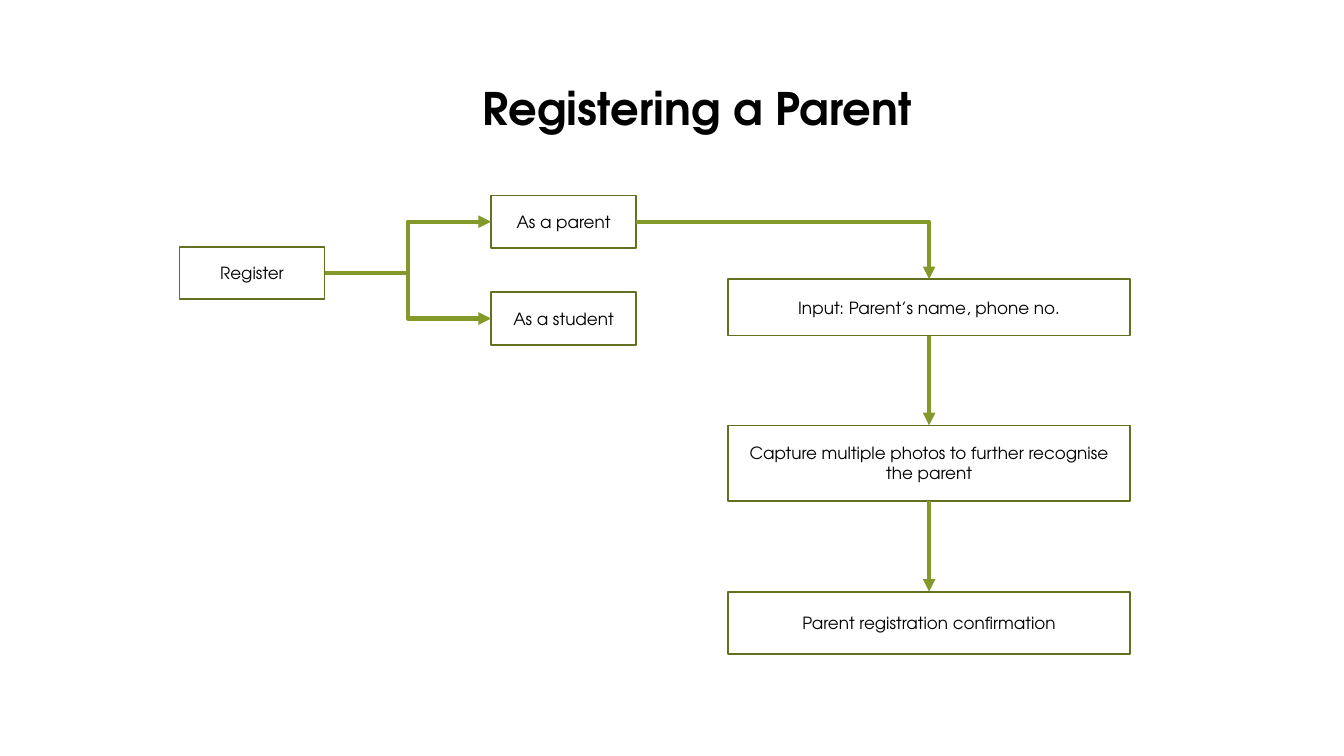
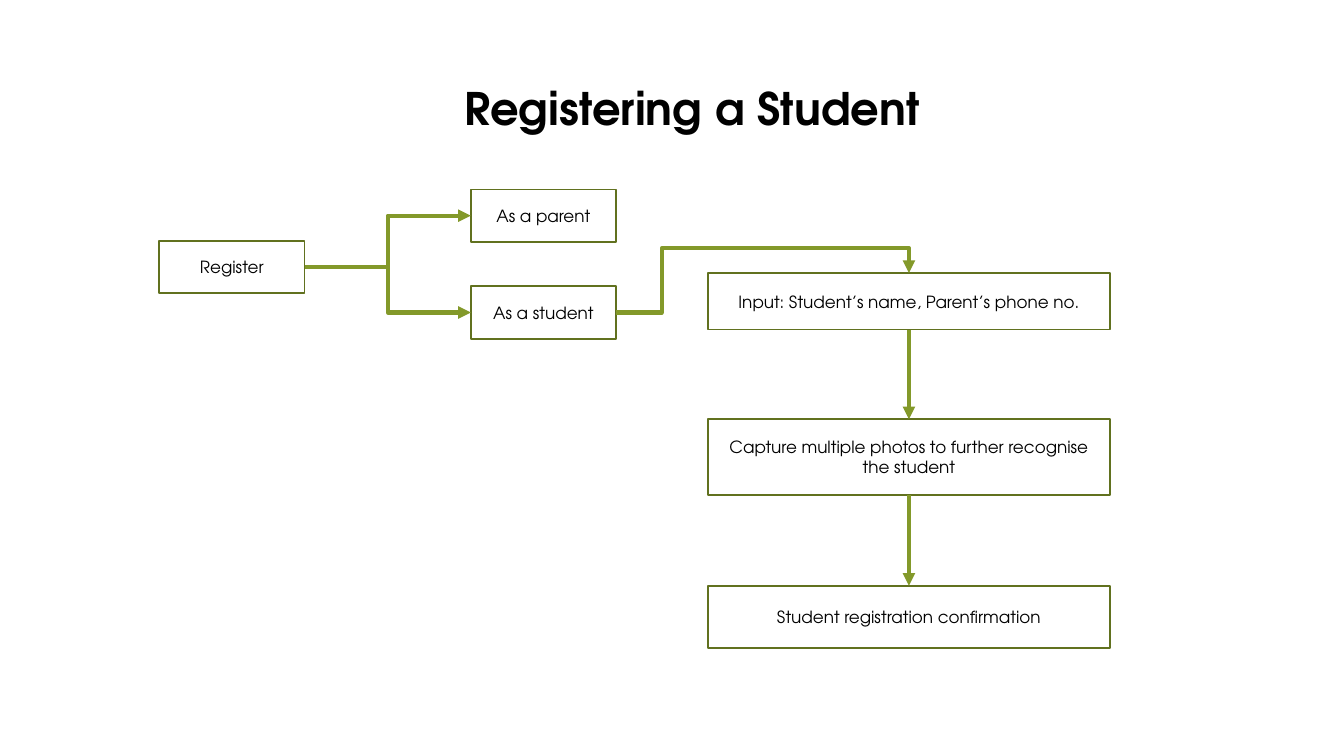
"""Build two slides with registration flowcharts."""
from dataclasses import dataclass

from lxml.etree import SubElement
from pptx import Presentation
from pptx.dml.color import RGBColor
from pptx.enum.shapes import MSO_CONNECTOR as CONN, MSO_SHAPE
from pptx.enum.text import MSO_ANCHOR as ANCHOR, MSO_AUTO_SIZE, PP_ALIGN as ALIGN
from pptx.oxml.ns import qn
from pptx.shapes.autoshape import Shape
from pptx.slide import Slide
from pptx.util import Inches, Pt

COLORS = {"text": "000000", "border": "61711F", "arrow": "83992A", "background": "FFFFFF"}
FONT = "TeX Gyre Adventor"
TOP, LEFT, BOTTOM, RIGHT = range(4)


@dataclass(frozen=True)
class Box:
    x: float
    y: float
    w: float
    h: float


@dataclass(frozen=True)
class Link:
    start: str
    start_side: int
    end: str
    end_side: int
    preset: str = "straightConnector1"
    adjust: tuple[int, ...] = ()


@dataclass(frozen=True)
class Flow:
    role: str
    title_x: float
    dx: float
    dy: float
    input_text: str
    branch: Link


BOXES = {
    "register": Box(1.78, 2.45, 1.44, 0.52),
    "parent": Box(4.87, 1.94, 1.44, 0.52),
    "student": Box(4.87, 2.9, 1.44, 0.52),
    "input": Box(7.22, 2.77, 3.99, 0.56),
    "capture": Box(7.22, 4.22, 3.99, 0.75),
    "confirm": Box(7.22, 5.87, 3.99, 0.62),
}
LINKS = [
    Link("register", RIGHT, "parent", LEFT, "bentConnector3", (50000,)),
    Link("register", RIGHT, "student", LEFT, "bentConnector3", (50000,)),
    Link("input", BOTTOM, "capture", TOP),
    Link("capture", BOTTOM, "confirm", TOP),
]
FLOWS = [
    Flow("Parent", 1.77, 0, 0, "Input: Parent’s name, phone no.",
         Link("parent", RIGHT, "input", TOP, "bentConnector2")),
    Flow("Student", 1.72, -0.2, -0.06, "Input: Student’s name, Parent’s phone no.",
         Link("student", RIGHT, "input", TOP, "bentConnector4", (15600, 163300))),
]


def rgb(name: str) -> RGBColor:
    return RGBColor.from_string(COLORS[name])


def write(sp: Shape, text: str, *, size: float = 12, bold: bool = False,
          anchor: ANCHOR = ANCHOR.MIDDLE) -> None:
    tf = sp.text_frame
    tf.word_wrap = True
    tf.vertical_anchor = anchor
    p = tf.paragraphs[0]
    p.alignment = ALIGN.CENTER
    r = p.add_run()
    r.text = text
    r.font.name = FONT
    r.font.size = Pt(size)
    r.font.bold = bold
    r.font.color.rgb = rgb("text")


def add_title(s: Slide, text: str, x: float) -> None:
    sp = s.shapes.add_textbox(Inches(x), Inches(0.75), Inches(10.29), Inches(0.64))
    write(sp, text, size=32, bold=True, anchor=ANCHOR.TOP)
    sp.text_frame.auto_size = MSO_AUTO_SIZE.SHAPE_TO_FIT_TEXT


def add_box(s: Slide, box: Box, text: str, dx: float, dy: float) -> Shape:
    sp = s.shapes.add_shape(MSO_SHAPE.RECTANGLE, Inches(box.x + dx), Inches(box.y + dy),
                            Inches(box.w), Inches(box.h))
    sp.shadow.inherit = False
    sp.fill.background()
    sp.line.color.rgb = rgb("border")
    sp.line.width = Pt(1.25)
    write(sp, text)
    return sp


def side_point(sp: Shape, side: int) -> tuple[int, int]:
    fx, fy = ((1, 0), (0, 1), (1, 2), (2, 1))[side]
    return sp.left + sp.width * fx // 2, sp.top + sp.height * fy // 2


def add_link(s: Slide, link: Link, shapes: dict[str, Shape]) -> None:
    start, end = shapes[link.start], shapes[link.end]
    kind = CONN.ELBOW if link.preset.startswith("bent") else CONN.STRAIGHT
    c = s.shapes.add_connector(kind, *side_point(start, link.start_side),
                               *side_point(end, link.end_side))
    c.begin_connect(start, link.start_side)
    c.end_connect(end, link.end_side)
    c.line.color.rgb = rgb("arrow")
    c.line.width = Pt(3)
    props = c._element.spPr
    geom = props.find(qn("a:prstGeom"))
    geom.set("prst", link.preset)
    guides = geom.find(qn("a:avLst"))
    for i, value in enumerate(link.adjust, 1):
        SubElement(guides, qn("a:gd"), name=f"adj{i}", fmla=f"val {value}")
    SubElement(props.find(qn("a:ln")), qn("a:tailEnd"), type="triangle")
    SubElement(props, qn("a:effectLst"))


def add_flow(prs: Presentation, flow: Flow) -> None:
    s = prs.slides.add_slide(prs.slide_layouts[6])
    s.background.fill.solid()
    s.background.fill.fore_color.rgb = rgb("background")
    add_title(s, f"Registering a {flow.role}", flow.title_x)
    texts = {
        "register": "Register",
        "parent": "As a parent",
        "student": "As a student",
        "input": flow.input_text,
        "capture": f"Capture multiple photos to further recognise the {flow.role.lower()}",
        "confirm": f"{flow.role} registration confirmation",
    }
    shapes = {key: add_box(s, box, texts[key], flow.dx, flow.dy) for key, box in BOXES.items()}
    for link in [*LINKS, flow.branch]:
        add_link(s, link, shapes)


def main() -> None:
    prs = Presentation()
    prs.slide_width, prs.slide_height = Inches(13.33), Inches(7.5)
    for flow in FLOWS:
        add_flow(prs, flow)
    prs.save("out.pptx")


if __name__ == "__main__":
    main()
